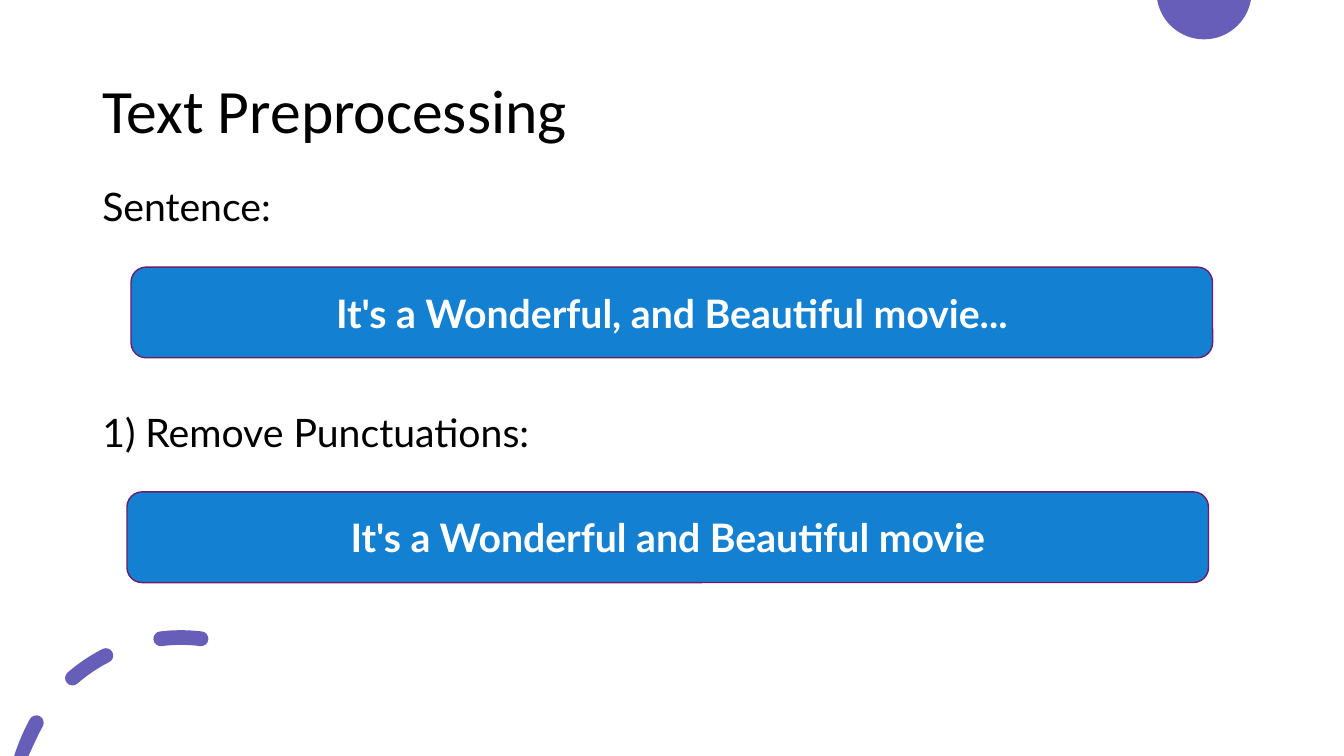
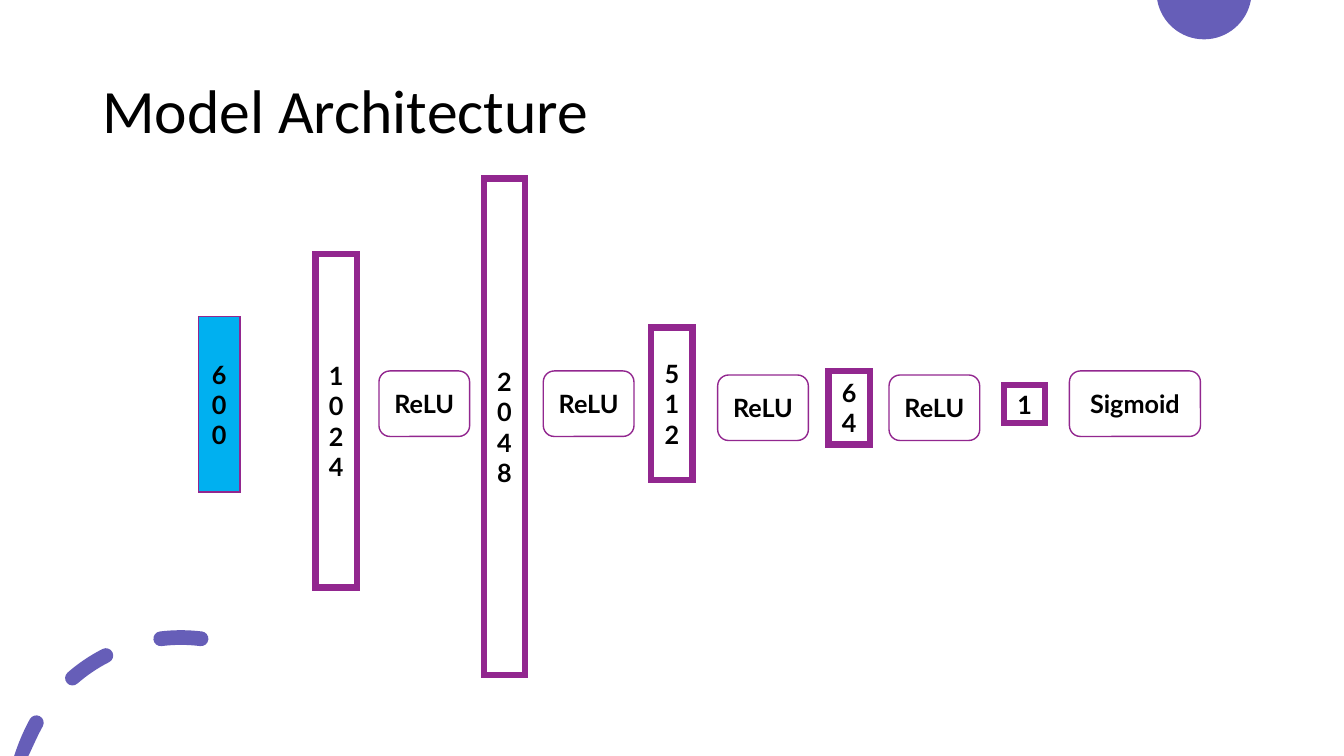
"""Build two slides on text preprocessing and a classifier's layers on a grid of 0.1 inch cells."""
from dataclasses import dataclass
from math import cos, radians, sin, tan

from lxml.etree import SubElement
from pptx import Presentation
from pptx.dml.color import RGBColor
from pptx.enum.shapes import MSO_SHAPE as Preset
from pptx.enum.text import MSO_ANCHOR as Anchor, PP_ALIGN as Align
from pptx.oxml.ns import qn
from pptx.shapes.autoshape import Shape
from pptx.slide import Slide
from pptx.util import Inches, Pt

CELL = Inches(0.1)
ROWS = 75
COLORS = {
    "accent": "665EB8",
    "banner": "1480D1",
    "banner_edge": "6C1D6A",
    "input": "00B0F0",
    "edge": "92278F",
    "dark": "000000",
    "light": "FFFFFF",
}
Point = tuple[float, float]


@dataclass(frozen=True)
class Box:
    """A rectangle in grid columns and rows."""
    left: float
    top: float
    width: float
    height: float

    def emu(self) -> tuple[int, ...]:
        """Return the rectangle in slide units."""
        return tuple(round(n * CELL) for n in (self.left, self.top, self.width, self.height))


@dataclass(frozen=True)
class Look:
    """How an outlined block is drawn."""
    preset: Preset
    fill: str
    edge: str
    edge_width: float
    size: int
    ink: str


@dataclass(frozen=True)
class Step:
    """A heading with the sentence it leads to."""
    heading: str
    sentence: str
    left: float
    top: float


@dataclass(frozen=True)
class Stage:
    """A network layer or activation."""
    text: str
    look: Look
    box: Box


BANNER = Look(Preset.ROUNDED_RECTANGLE, "banner", "banner_edge", 1, 28, "light")
INPUT = Look(Preset.RECTANGLE, "input", "edge", 1, 18, "dark")
LAYER = Look(Preset.RECTANGLE, "light", "edge", 4.5, 18, "dark")
ACTIVATION = Look(Preset.ROUNDED_RECTANGLE, "light", "edge", 1, 18, "dark")

TITLE_BOX = Box(9.17, 4, 115, 14.5)
BODY_BOX = Box(9.17, 18.1, 115, 48.8)
HEADING_GAP = 131
STEPS = [
    Step("Sentence:", "It's a Wonderful, and Beautiful movie...", 13, 26.5),
    Step("1) Remove Punctuations:", "It's a Wonderful and Beautiful movie", 12.6, 48.8),
]
STAGES = [
    *(Stage(units, look, Box(left, top, 4.1, height))
      for units, look, left, top, height in (
          ("600", INPUT, 19.7, 31.4, 17.4),
          ("1024", LAYER, 31.3, 25.2, 33.1),
          ("2048", LAYER, 48, 17.7, 49.3),
          ("512", LAYER, 64.6, 32.5, 15.1),
          ("64", LAYER, 82.2, 36.8, 7.3),
          ("1", LAYER, 99.6, 38.2, 3.8))),
    *(Stage(name, ACTIVATION, Box(left, top, width, 6.5))
      for name, left, top, width in (
          ("ReLU", 37.6, 36.8, 9),
          ("ReLU", 53.9, 36.8, 9),
          ("ReLU", 71.2, 37.2, 9),
          ("ReLU", 88.2, 37.2, 9),
          ("Sigmoid", 106.1, 36.8, 13))),
]

DISC_CENTER, DISC_RADIUS = (119.45, -0.82), 4.72
RING_CENTER, RING_RADIUS, DASH_HALF = (17.95, 79.65), 16.4, 0.73
DASH_STARTS, DASH_SWEEP = (83, 117, 151), 14


def rgb(name: str) -> RGBColor:
    """Look up a palette colour."""
    return RGBColor.from_string(COLORS[name])


def on_circle(center: Point, radius: float, angle: float, along: float = 0) -> Point:
    """Find a point on a circle, moved along its tangent by a share of the radius."""
    a = radians(angle)
    return (center[0] + radius * (cos(a) - along * sin(a)),
            center[1] - radius * (sin(a) + along * cos(a)))


def arc(center: Point, radius: float, start: float, end: float, pieces: int = 1) -> list[Point]:
    """List the curve points of an arc after its start, three for each piece."""
    sweep = (end - start) / pieces
    pull = 4 / 3 * tan(radians(sweep) / 4)
    points = []
    for i in range(pieces):
        a, b = start + i * sweep, start + (i + 1) * sweep
        points += [on_circle(center, radius, a, pull),
                   on_circle(center, radius, b, -pull),
                   on_circle(center, radius, b)]
    return points


def dash(start: float) -> list[Point]:
    """Outline one round-ended dash of the corner ring."""
    end = start + DASH_SWEEP
    head, tail = (on_circle(RING_CENTER, RING_RADIUS, angle) for angle in (start, end))
    outer, inner = RING_RADIUS + DASH_HALF, RING_RADIUS - DASH_HALF
    return [
        on_circle(RING_CENTER, outer, start),
        *arc(RING_CENTER, outer, start, end),
        *arc(tail, DASH_HALF, end, end + 180, 2),
        *arc(RING_CENTER, inner, end, start),
        *arc(head, DASH_HALF, start + 180, start + 360, 2),
    ]


def bend(ornament: Shape) -> None:
    """Turn each three straight segments into one curve."""
    segments = list(ornament.element.iter(qn("a:lnTo")))
    for first, second, third in zip(segments[::3], segments[1::3], segments[2::3]):
        curve = SubElement(first.getparent(), qn("a:cubicBezTo"))
        first.addprevious(curve)
        for segment in (first, second, third):
            curve.append(segment[0])
            segment.getparent().remove(segment)


def draw_outlines(slide: Slide, outlines: list[list[Point]]) -> None:
    """Fill closed curved outlines, cut off at the bottom of the slide."""
    first, *others = [[(x * CELL, min(y, ROWS) * CELL) for x, y in line] for line in outlines]
    builder = slide.shapes.build_freeform(*first[0])
    builder.add_line_segments(first[1:])
    for outline in others:
        builder.move_to(*outline[0])
        builder.add_line_segments(outline[1:])
    ornament = builder.convert_to_shape()
    bend(ornament)
    ornament.shadow.inherit = False
    ornament.fill.solid()
    ornament.fill.fore_color.rgb = rgb("accent")
    ornament.line.fill.background()


def write(shape: Shape, text: str, size: int, ink: str, face: str, bold: bool = False) -> None:
    """Put text in one style into a shape."""
    shape.text_frame.word_wrap = True
    shape.text_frame.text = text
    for paragraph in shape.text_frame.paragraphs:
        font = paragraph.font
        font.name, font.size, font.bold = face, Pt(size), bold
        font.color.rgb = rgb(ink)


def draw_lines(slide: Slide, box: Box, lines: list[str], size: int, face: str,
               anchor: Anchor, gap: float = 0) -> None:
    """Add left-aligned lines with a gap before each but the first."""
    passage = slide.shapes.add_textbox(*box.emu())
    write(passage, "\n".join(lines), size, "dark", face)
    passage.text_frame.vertical_anchor = anchor
    for i, paragraph in enumerate(passage.text_frame.paragraphs):
        paragraph.line_spacing = 0.9
        paragraph.space_before = Pt(gap if i else 0)


def draw_block(slide: Slide, box: Box, text: str, look: Look) -> None:
    """Add an outlined block with sharp joins and centred bold text."""
    block = slide.shapes.add_shape(look.preset, *box.emu())
    block.shadow.inherit = False
    block.fill.solid()
    block.fill.fore_color.rgb = rgb(look.fill)
    block.line.color.rgb = rgb(look.edge)
    block.line.width = Pt(look.edge_width)
    SubElement(block.element.spPr.find(qn("a:ln")), qn("a:miter"), lim="800000")
    write(block, text, look.size, look.ink, "Lato", bold=True)
    block.text_frame.vertical_anchor = Anchor.MIDDLE
    block.text_frame.paragraphs[0].alignment = Align.CENTER


def start_slide(deck: Presentation, title: str) -> Slide:
    """Add a blank slide with the shared ornaments and title."""
    slide = deck.slides.add_slide(deck.slide_layouts[6])
    disc = [on_circle(DISC_CENTER, DISC_RADIUS, 190), *arc(DISC_CENTER, DISC_RADIUS, 190, 350, 2)]
    draw_outlines(slide, [disc])
    draw_outlines(slide, [dash(start) for start in DASH_STARTS])
    draw_lines(slide, TITLE_BOX, [title], 44, "Calibri", Anchor.MIDDLE)
    return slide


def build_preprocessing(deck: Presentation) -> None:
    """Show the sentence before and after cleaning."""
    slide = start_slide(deck, "Text Preprocessing")
    headings = [step.heading for step in STEPS]
    draw_lines(slide, BODY_BOX, headings, 28, "Lato", Anchor.TOP, HEADING_GAP)
    for step in STEPS:
        draw_block(slide, Box(step.left, step.top, 107.3, 9), step.sentence, BANNER)


def build_architecture(deck: Presentation) -> None:
    """Show the layers and activations of the model."""
    slide = start_slide(deck, "Model Architecture")
    for stage in STAGES:
        draw_block(slide, stage.box, stage.text, stage.look)


def main() -> None:
    """Build and save the deck."""
    deck = Presentation()
    deck.slide_height = ROWS * CELL
    deck.slide_width = deck.slide_height * 16 // 9
    build_preprocessing(deck)
    build_architecture(deck)
    deck.save("out.pptx")


main()
